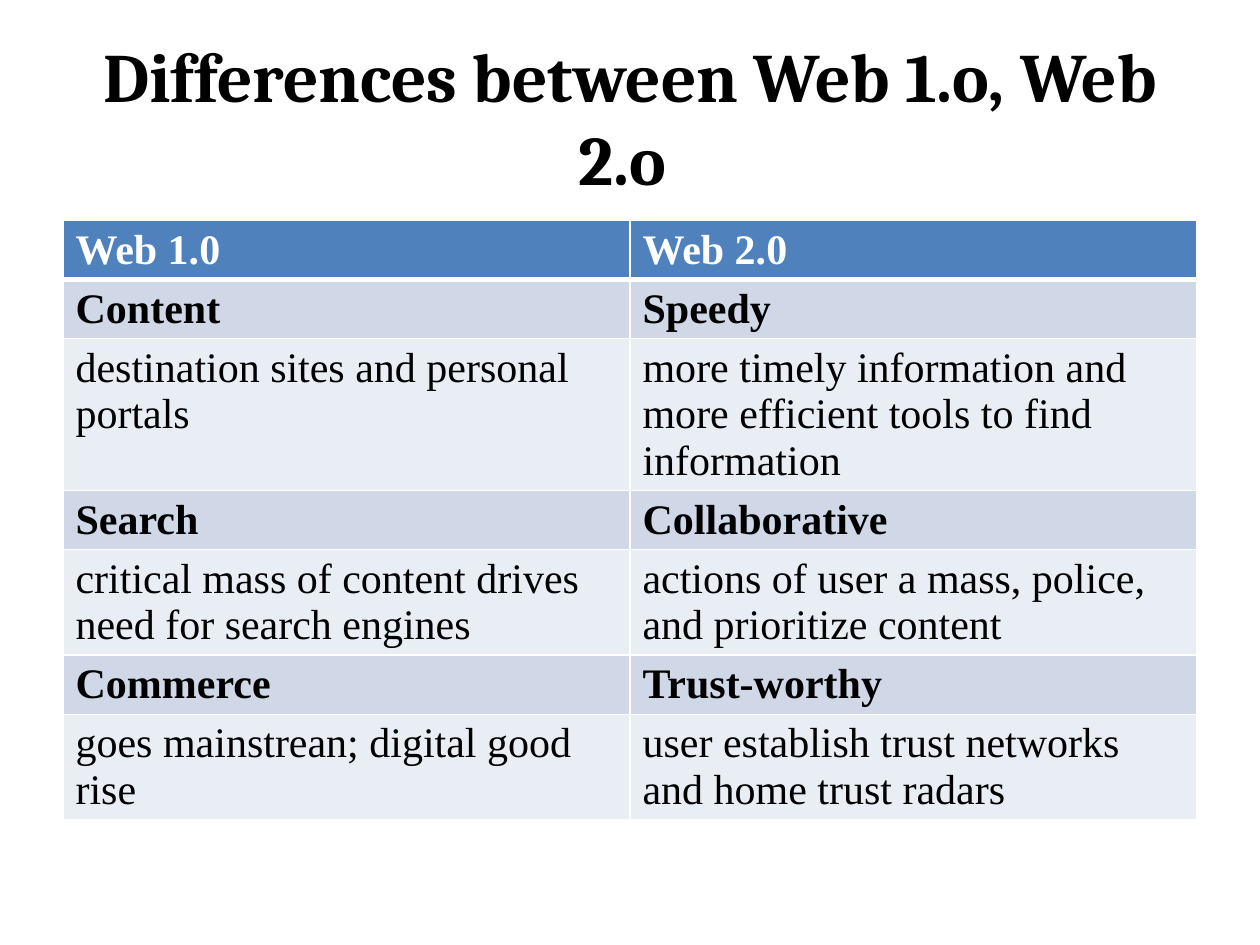
"""Build a slide with a table comparing Web 1.0 and Web 2.0."""
import dataclasses
import typing

import lxml.etree
import pptx
import pptx.dml.color
import pptx.enum.text
import pptx.oxml.ns
import pptx.util

Pt = pptx.util.Pt


@dataclasses.dataclass(frozen=True)
class Theme:
    title_font: str = "Cambria"
    table_font: str = "Times New Roman"
    title_size: float = 39.6
    table_size: float = 24
    text: str = "000000"
    header_text: str = "FFFFFF"
    header_fill: str = "4F81BD"
    topic_fill: str = "D0D8E8"
    detail_fill: str = "E9EDF4"
    border: str = "FFFFFF"
    thin_border: float = 1
    thick_border: float = 3


@dataclasses.dataclass(frozen=True)
class RowStyle:
    fill: str
    color: str
    bold: bool
    bottom_border: float


class Row(typing.NamedTuple):
    style: RowStyle
    texts: tuple[str, str]


THEME = Theme()
HEADER = RowStyle(THEME.header_fill, THEME.header_text, True, THEME.thick_border)
TOPIC = RowStyle(THEME.topic_fill, THEME.text, True, THEME.thin_border)
DETAIL = RowStyle(THEME.detail_fill, THEME.text, False, THEME.thin_border)

TITLE = "Differences between Web 1.o, Web 2.o "
ROWS = [
    Row(HEADER, ("Web 1.0", "Web 2.0")),
    Row(TOPIC, ("Content", "Speedy")),
    Row(DETAIL, ("destination sites and personal portals",
                 "more timely information and more efficient tools to find information")),
    Row(TOPIC, ("Search", "Collaborative")),
    Row(DETAIL, ("critical mass of content drives need for search engines",
                 "actions of user a mass, police, and prioritize content")),
    Row(TOPIC, ("Commerce", "Trust-worthy")),
    Row(DETAIL, ("goes mainstrean; digital good rise",
                 "user establish trust networks and home trust radars")),
]

LEFT, WIDTH = 36, 648
TITLE_TOP, TITLE_HEIGHT = 21.6, 90
TABLE_TOP, ROW_HEIGHT = 126, 29.5


def apply_format(target: typing.Any, values: dict[str, typing.Any]) -> None:
    """Set each named attribute on the target."""
    for name, value in values.items():
        setattr(target, name, value)


def write_text(text_frame, text: str, font: str, size: float, color: str, bold: bool) -> None:
    """Fill a text frame with one formatted run."""
    run = text_frame.paragraphs[0].add_run()
    run.text = text
    apply_format(run.font, {"name": font, "size": Pt(size), "bold": bold})
    run.font.color.rgb = pptx.dml.color.RGBColor.from_string(color)


def add_border(cell, side: str, width: float) -> None:
    """Add a solid border to one side of a cell."""
    qualified = pptx.oxml.ns.qn
    properties = cell._tc.get_or_add_tcPr()
    line = lxml.etree.SubElement(properties, qualified(f"a:ln{side}"), w=str(int(Pt(width))))
    fill = lxml.etree.SubElement(line, qualified("a:solidFill"))
    lxml.etree.SubElement(fill, qualified("a:srgbClr"), val=THEME.border)


def draw_cell(cell, text: str, style: RowStyle, top_border: float) -> None:
    """Format one table cell and write its text."""
    borders = {"L": THEME.thin_border, "R": THEME.thin_border,
               "T": top_border, "B": style.bottom_border}
    for side, width in borders.items():
        add_border(cell, side, width)
    cell.fill.solid()
    cell.fill.fore_color.rgb = pptx.dml.color.RGBColor.from_string(style.fill)
    cell.vertical_anchor = pptx.enum.text.MSO_ANCHOR.TOP
    write_text(cell.text_frame, text, THEME.table_font, THEME.table_size, style.color, style.bold)


def draw_title(slide) -> None:
    """Place and write the slide title."""
    title = slide.shapes.title
    apply_format(title, {"left": Pt(LEFT), "top": Pt(TITLE_TOP),
                         "width": Pt(WIDTH), "height": Pt(TITLE_HEIGHT)})
    apply_format(title.text_frame, {
        "word_wrap": True,
        "auto_size": pptx.enum.text.MSO_AUTO_SIZE.NONE,
        "vertical_anchor": pptx.enum.text.MSO_ANCHOR.MIDDLE,
    })
    title.text_frame.paragraphs[0].alignment = pptx.enum.text.PP_ALIGN.CENTER
    write_text(title.text_frame, TITLE, THEME.title_font, THEME.title_size, THEME.text, True)


def draw_table(slide) -> None:
    """Draw the comparison table."""
    table = slide.shapes.add_table(
        len(ROWS), len(ROWS[0].texts), Pt(LEFT), Pt(TABLE_TOP),
        Pt(WIDTH), Pt(ROW_HEIGHT * len(ROWS))).table
    top_border = THEME.thin_border
    for table_row, row in zip(table.rows, ROWS):
        for cell, text in zip(table_row.cells, row.texts):
            draw_cell(cell, text, row.style, top_border)
        top_border = row.style.bottom_border


def main() -> None:
    """Create and save the presentation."""
    presentation = pptx.Presentation()
    apply_format(presentation, {"slide_width": Pt(720), "slide_height": Pt(540)})
    slide = presentation.slides.add_slide(presentation.slide_layouts.get_by_name("Title Only"))
    draw_title(slide)
    draw_table(slide)
    presentation.save("out.pptx")


if __name__ == "__main__":
    main()
